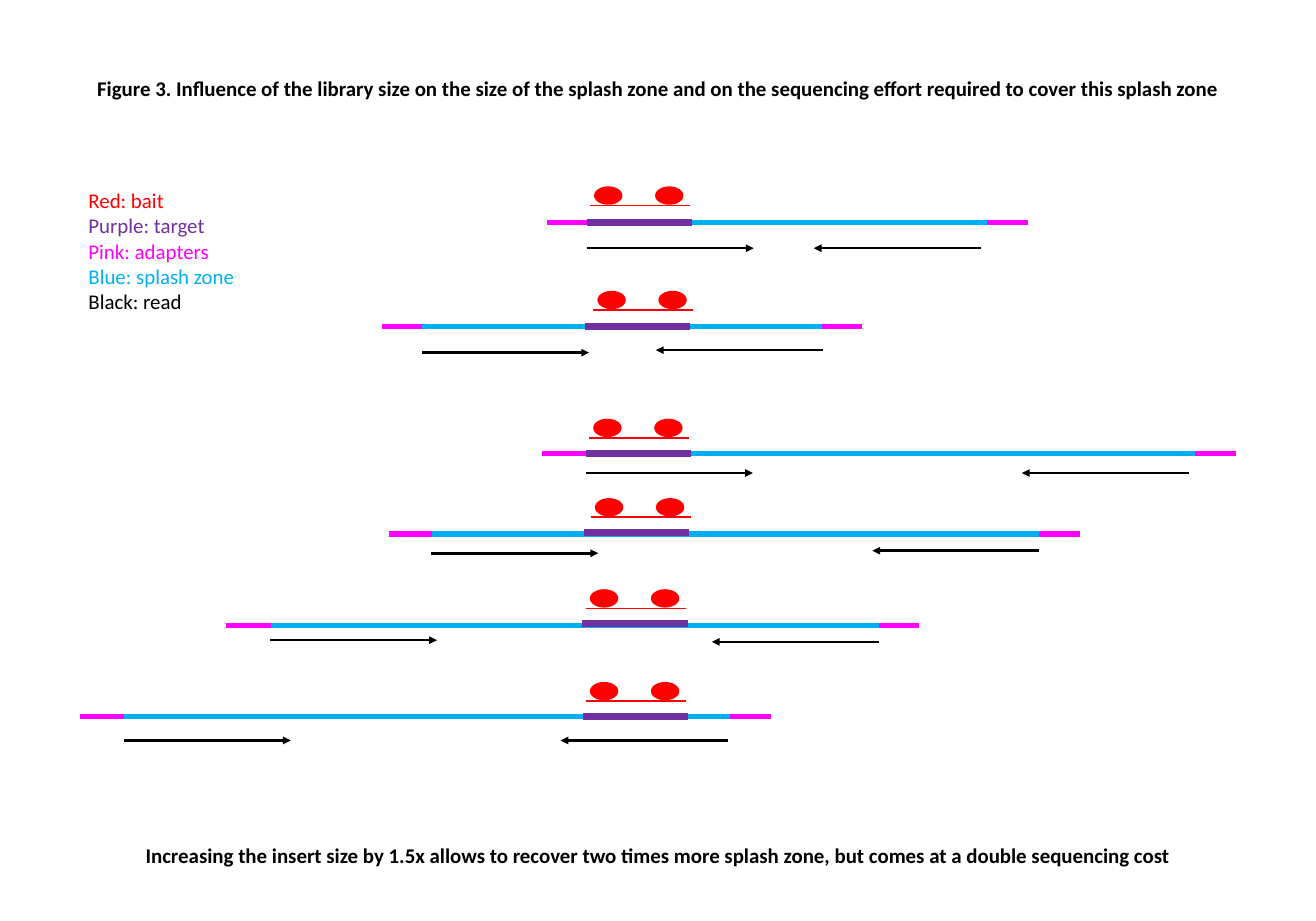
from dataclasses import dataclass

from lxml.etree import SubElement
from pptx import Presentation
from pptx.dml.color import RGBColor
from pptx.enum.shapes import MSO_CONNECTOR, MSO_SHAPE
from pptx.enum.text import MSO_ANCHOR, MSO_AUTO_SIZE, PP_ALIGN
from pptx.oxml.ns import qn
from pptx.util import Inches, Pt

RED = "FF0000"
PURPLE = "7030A0"
PINK = "FF00FF"
BLUE = "00B0F0"
BLACK = "000000"

SLIDE_WIDTH = 15.75
TARGET_LENGTH = 1.26
BAIT_LENGTH = 1.2
READ_LENGTH = 2

TITLE = ("Figure 3. Influence of the library size on the size of the splash zone "
         "and on the sequencing effort required to cover this splash zone")
CONCLUSION = ("Increasing the insert size by 1.5x allows to recover two times more "
              "splash zone, but comes at a double sequencing cost")
LEGEND = [
    ("Red: bait", RED),
    ("Purple: target", PURPLE),
    ("Pink: adapters", PINK),
    ("Blue: splash zone", BLUE),
    ("Black: read", BLACK),
]


@dataclass
class Fragment:
    y: float
    left: float
    insert_left: float
    insert_right: float
    right: float
    target: tuple
    bait: tuple
    forward_read: tuple
    reverse_read: tuple


FRAGMENTS = [
    Fragment(2.66, 6.55, 7.02, 11.81, 12.3, (7.02, 2.66), (7.06, 2.46), (7.02, 2.97), (11.74, 2.97)),
    Fragment(3.91, 4.57, 5.05, 9.84, 10.32, (7, 3.91), (7.1, 3.71), (5.05, 4.22), (9.85, 4.19)),
    Fragment(5.43, 6.49, 7.01, 14.3, 14.79, (7.01, 5.43), (7.05, 5.24), (7.01, 5.66), (14.23, 5.66)),
    Fragment(6.39, 4.65, 5.17, 12.44, 12.93, (6.99, 6.37), (7.07, 6.19), (5.16, 6.62), (12.44, 6.59)),
    Fragment(7.48, 2.71, 3.24, 10.52, 11, (6.97, 7.46), (7.01, 7.28), (3.23, 7.66), (10.52, 7.68)),
    Fragment(8.57, 0.96, 1.48, 8.74, 9.23, (6.98, 8.57), (7.01, 8.39), (1.48, 8.86), (8.71, 8.86)),
]


def color(value):
    return RGBColor.from_string(value)


def add_line(slide, start, end, y, line_color, width, arrow=False):
    connector = slide.shapes.add_connector(
        MSO_CONNECTOR.STRAIGHT, Inches(start), Inches(y), Inches(end), Inches(y))
    connector.line.color.rgb = color(line_color)
    connector.line.width = Pt(width)
    if arrow:
        SubElement(connector.line._get_or_add_ln(), qn("a:tailEnd"), type="triangle")
    SubElement(connector._element.spPr, qn("a:effectLst"))


def add_bait(slide, left, y):
    add_line(slide, left, left + BAIT_LENGTH, y, RED, 1.5)
    for offset in (0.05, 0.78):
        bead = slide.shapes.add_shape(
            MSO_SHAPE.OVAL, Inches(left + offset), Inches(y - 0.23), Inches(0.34), Inches(0.22))
        bead.shadow.inherit = False
        bead.fill.solid()
        bead.fill.fore_color.rgb = color(RED)
        bead.line.fill.background()


def add_fragment(slide, fragment):
    add_line(slide, fragment.insert_left, fragment.insert_right, fragment.y, BLUE, 4.5)
    add_line(slide, fragment.left, fragment.insert_left, fragment.y, PINK, 4.5)
    add_line(slide, fragment.insert_right, fragment.right, fragment.y, PINK, 4.5)
    target_left, target_y = fragment.target
    add_line(slide, target_left, target_left + TARGET_LENGTH, target_y, PURPLE, 6)
    add_bait(slide, *fragment.bait)
    for (start, y), direction in ((fragment.forward_read, 1), (fragment.reverse_read, -1)):
        add_line(slide, start, start + direction * READ_LENGTH, y, BLACK, 2.25, arrow=True)


def fill_text(shape, lines, bold=False, alignment=PP_ALIGN.LEFT):
    frame = shape.text_frame
    frame.word_wrap = True
    frame.auto_size = MSO_AUTO_SIZE.NONE
    frame.vertical_anchor = MSO_ANCHOR.TOP
    for index, (text, text_color) in enumerate(lines):
        paragraph = frame.add_paragraph() if index else frame.paragraphs[0]
        paragraph.alignment = alignment
        run = paragraph.add_run()
        run.text = text
        run.font.name = "Calibri"
        run.font.size = Pt(18)
        run.font.bold = bold
        run.font.color.rgb = color(text_color)


def add_text(slide, left, top, width, height, lines, **formatting):
    box = slide.shapes.add_textbox(Inches(left), Inches(top), Inches(width), Inches(height))
    fill_text(box, lines, **formatting)


def set_title(slide, text):
    title = slide.shapes.title
    title.left, title.top = Inches(0), Inches(0.86)
    title.width, title.height = Inches(SLIDE_WIDTH), Inches(0.4)
    fill_text(title, [(text, BLACK)], bold=True, alignment=PP_ALIGN.CENTER)


def main():
    presentation = Presentation()
    presentation.slide_width = Inches(SLIDE_WIDTH)
    presentation.slide_height = Inches(11.02)
    slide = presentation.slides.add_slide(presentation.slide_layouts.get_by_name("Title Only"))
    set_title(slide, TITLE)
    for fragment in FRAGMENTS:
        add_fragment(slide, fragment)
    add_text(slide, 0.96, 2.2, 2.41, 1.62, LEGEND)
    add_text(slide, 0, 10.03, SLIDE_WIDTH, 0.4, [(CONCLUSION, BLACK)],
             bold=True, alignment=PP_ALIGN.CENTER)
    presentation.save("out.pptx")


main()
